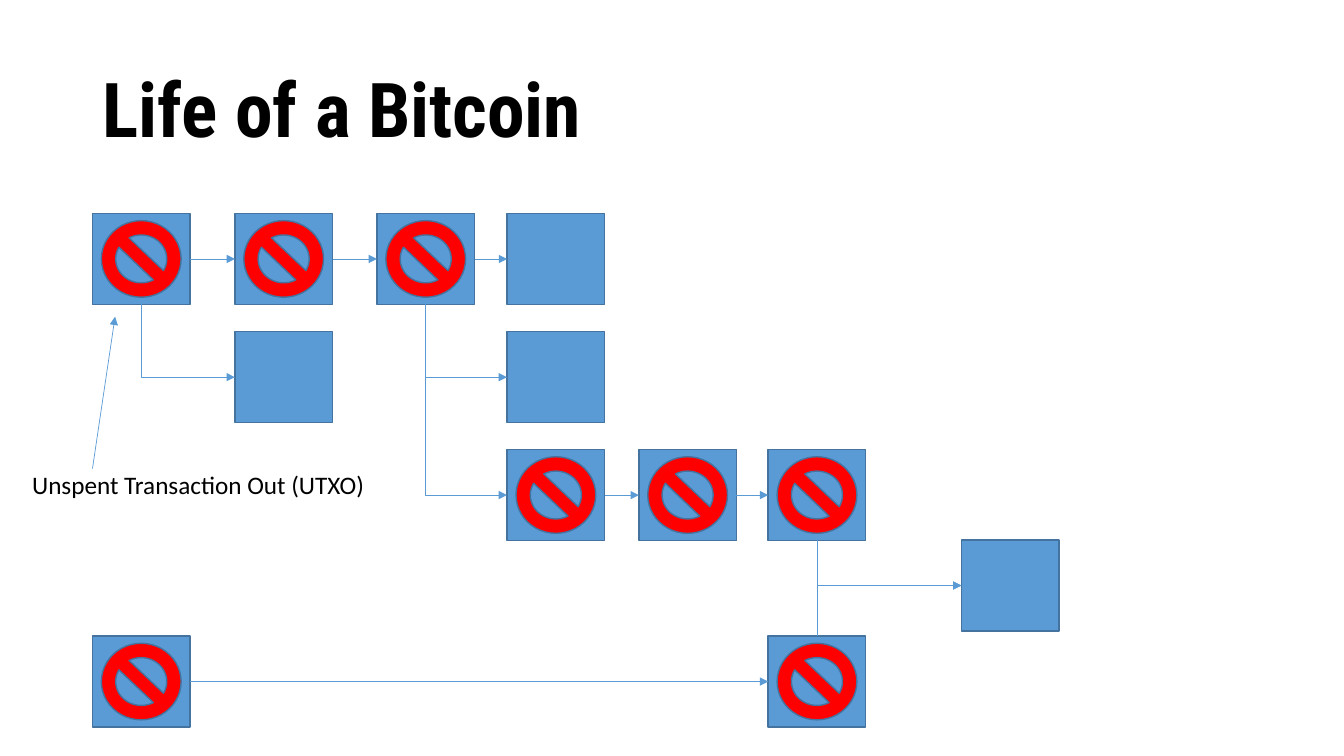
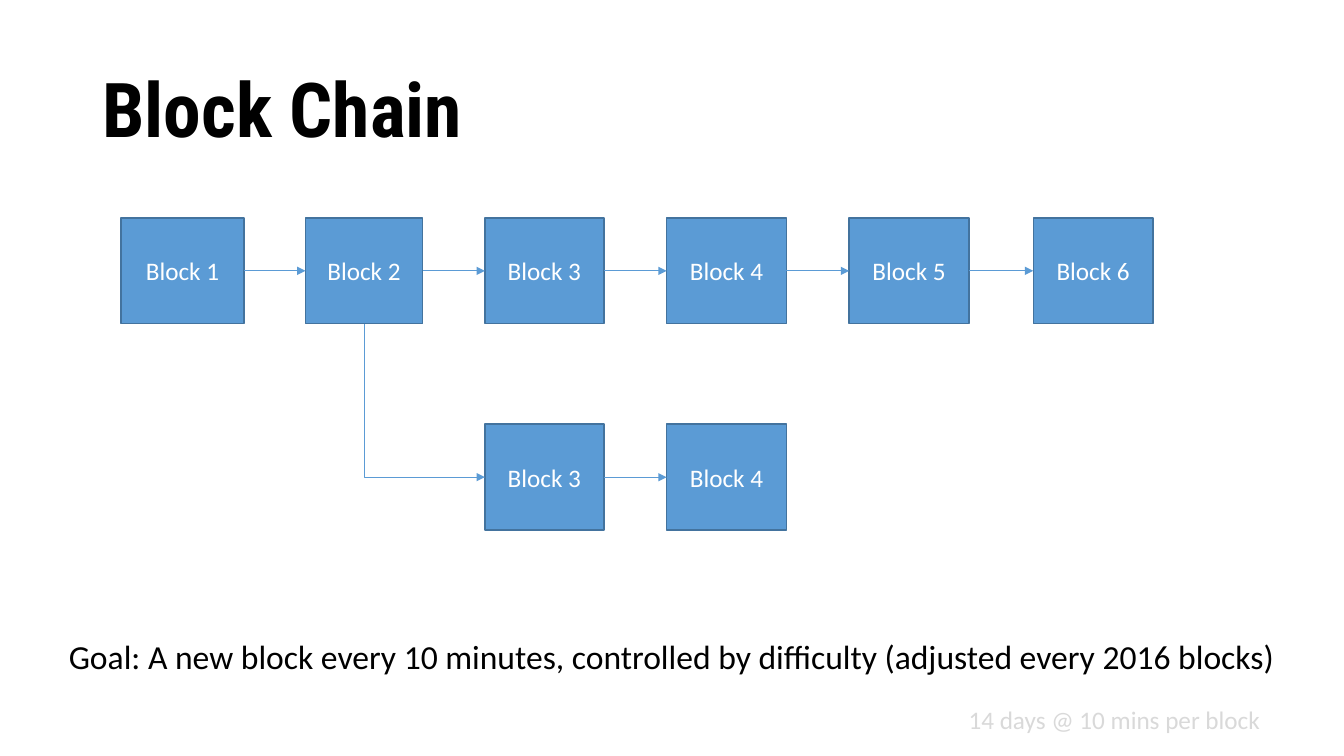
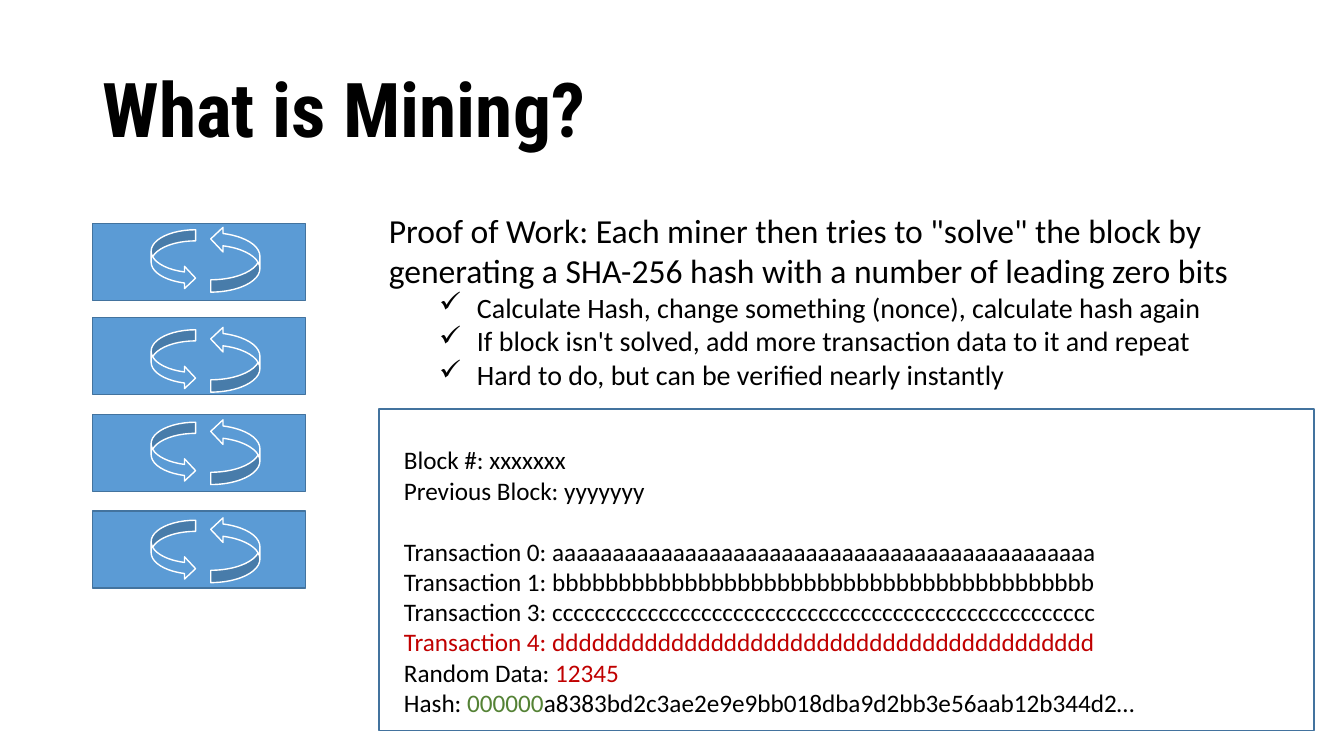
import pptx
import pptx.dml.color
import pptx.enum.shapes
import pptx.enum.text
import pptx.oxml
import pptx.oxml.ns
import pptx.util

Cm = pptx.util.Cm
Pt = pptx.util.Pt
RGB = pptx.dml.color.RGBColor
SHAPE = pptx.enum.shapes.MSO_SHAPE
LINK = pptx.enum.shapes.MSO_CONNECTOR
ALIGN = pptx.enum.text.PP_ALIGN
ANCHOR = pptx.enum.text.MSO_ANCHOR
FIT = pptx.enum.text.MSO_AUTO_SIZE
qn = pptx.oxml.ns.qn

BLUE = RGB(0x5B, 0x9B, 0xD5)
NAVY = RGB(0x43, 0x73, 0x9E)
RED = RGB(0xFF, 0x00, 0x00)
WINE = RGB(0xC0, 0x00, 0x00)
GREEN = RGB(0x54, 0x82, 0x35)
GREY = RGB(0xD9, 0xD9, 0xD9)
BLACK = RGB(0x00, 0x00, 0x00)
WHITE = RGB(0xFF, 0xFF, 0xFF)
BODY = "Calibri"
HEAD = "Roboto Condensed"
TOP, LEFT, BOTTOM, RIGHT = range(4)


def style(para, size, color=BLACK, name=BODY, bold=None):
    font = para.font
    font.size = Pt(size)
    font.name = name
    font.bold = bold
    if color is not None:
        font.color.rgb = color


def start(deck, text):
    slide = deck.slides.add_slide(deck.slide_layouts[5])
    title = slide.shapes.title
    title.left, title.top = Cm(2.33), Cm(1.01)
    title.width, title.height = Cm(29.21), Cm(3.68)
    frame = title.text_frame
    frame.text = text
    frame.auto_size = FIT.NONE
    frame.vertical_anchor = ANCHOR.MIDDLE
    para = frame.paragraphs[0]
    para.alignment = ALIGN.LEFT
    para.line_spacing = 0.9
    style(para, 54, name=HEAD, bold=True)
    return slide


def shape(slide, kind, x, y, w, h, fill=BLUE, line=NAVY):
    item = slide.shapes.add_shape(kind, Cm(x), Cm(y), Cm(w), Cm(h))
    item.shadow.inherit = False
    if fill is None:
        item.fill.background()
    else:
        item.fill.solid()
        item.fill.fore_color.rgb = fill
    item.line.color.rgb = line
    item.line.width = Pt(1)
    return item


def box(slide, x, y, w, h, text=""):
    item = shape(slide, SHAPE.RECTANGLE, x, y, w, h)
    if text:
        frame = item.text_frame
        frame.text = text
        frame.vertical_anchor = ANCHOR.MIDDLE
        para = frame.paragraphs[0]
        para.alignment = ALIGN.CENTER
        style(para, 18, WHITE)
    return item


def finish(wire, end):
    wire.line.color.rgb = BLUE
    wire.line.width = Pt(0.5)
    props = wire.element.find(qn("p:spPr"))
    tip = pptx.oxml.parse_xml(
        f'<a:{end} {pptx.oxml.ns.nsdecls("a")} type="triangle"/>')
    props.find(qn("a:ln")).append(tip)
    props.append(props.makeelement(qn("a:effectLst"), {}))


def arrow(slide, source, target):
    wire = slide.shapes.add_connector(LINK.STRAIGHT, 0, 0, 0, 0)
    wire.begin_connect(source, RIGHT)
    wire.end_connect(target, LEFT)
    finish(wire, "tailEnd")


def branch(slide, source, target, side=BOTTOM):
    wire = slide.shapes.add_connector(LINK.ELBOW, 0, 0, 0, 0)
    wire.begin_connect(target, LEFT)
    wire.end_connect(source, side)
    shell = wire.element.find(qn("p:spPr")).find(qn("a:prstGeom"))
    shell.set("prst", "bentConnector2")
    finish(wire, "headEnd")


def label(slide, x, y, w, h, wrap=False):
    item = slide.shapes.add_textbox(Cm(x), Cm(y), Cm(w), Cm(h))
    frame = item.text_frame
    frame.word_wrap = wrap
    frame.auto_size = FIT.SHAPE_TO_FIT_TEXT
    return frame


def write(frame, text, size, color=BLACK):
    para = frame.paragraphs[0]
    para.text = text
    style(para, size, color)
    return para


def check(para):
    props = para._p.get_or_add_pPr()
    props.set("marL", str(Cm(2.22)))
    props.set("indent", str(-Cm(0.95)))
    props.append(props.makeelement(qn("a:buChar"), {"char": "✓"}))


def life(deck):
    slide = start(deck, "Life of a Bitcoin")
    cols = (2.33, 5.92, 9.5, 12.78, 16.1, 19.36, 24.23)
    rows = (5.38, 8.36, 11.33, 13.61, 16.03)
    wide, high = 2.46, 2.29
    cells = ((0, 0), (1, 0), (2, 0), (3, 0), (1, 1), (3, 1),
             (3, 2), (4, 2), (5, 2), (6, 3), (0, 4), (5, 4))
    coins = {(c, r): box(slide, cols[c], rows[r], wide, high)
             for c, r in cells}
    for a, b in (((0, 0), (1, 0)), ((1, 0), (2, 0)), ((2, 0), (3, 0)),
                 ((3, 2), (4, 2)), ((4, 2), (5, 2)), ((0, 4), (5, 4))):
        arrow(slide, coins[a], coins[b])
    for a, b, side in (((0, 0), (1, 1), BOTTOM), ((2, 0), (3, 1), BOTTOM),
                       ((2, 0), (3, 2), BOTTOM), ((5, 2), (6, 3), BOTTOM),
                       ((5, 4), (6, 3), TOP)):
        branch(slide, coins[a], coins[b], side)
    sw, sh = 2.01, 1.93
    for c, r in ((0, 0), (1, 0), (2, 0), (3, 2), (4, 2), (5, 2),
                 (0, 4), (5, 4)):
        shape(slide, SHAPE.NO_SYMBOL, cols[c] + (wide - sw) / 2,
              rows[r] + (high - sh) / 2, sw, sh, RED)
    wire = slide.shapes.add_connector(
        LINK.STRAIGHT, Cm(2.33), Cm(11.81), Cm(2.9), Cm(7.98))
    finish(wire, "tailEnd")
    write(label(slide, 0.56, 11.71, 8.97, 1.03),
          "Unspent Transaction Out (UTXO)", 18)


def chain(deck):
    slide = start(deck, "Block Chain")
    cols = ((3.05, 3.1), (7.7, 2.95), (12.22, 3),
            (16.8, 3.02), (21.4, 3.02), (26.04, 3.02))

    def row(first, last, y):
        blocks = [box(slide, *cols[n - 1][:1], y, cols[n - 1][1], 2.67,
                      f"Block {n}") for n in range(first, last + 1)]
        for a, b in zip(blocks, blocks[1:]):
            arrow(slide, a, b)
        return blocks

    main_row = row(1, 6, 5.49)
    fork = row(3, 4, 10.69)
    branch(slide, main_row[1], fork[0])
    goal = write(label(slide, 1.42, 15.9, 31.01, 1.28, True),
                 "Goal: A new block every 10 minutes, controlled by "
                 "difficulty (adjusted every 2016 blocks)", 24)
    goal.alignment = ALIGN.CENTER
    write(label(slide, 24.16, 17.63, 7.95, 1.03),
          "14 days @ 10 mins per block", 18, GREY)


def mining(deck):
    slide = start(deck, "What is Mining?")
    for y, spin in ((5.64, 5.79), (8, 8.31), (10.44, 10.64), (12.88, 13.11)):
        box(slide, 2.33, y, 5.37, 1.94)
        shape(slide, SHAPE.CURVED_RIGHT_ARROW, 3.81, spin, 1.12, 1.5,
              line=WHITE)
        back = shape(slide, SHAPE.CURVED_RIGHT_ARROW, 5.31, spin - 0.08,
                     1.24, 1.65, line=WHITE)
        back.rotation = 180

    proof = label(slide, 9.55, 5.16, 22.66, 4.88, True)
    write(proof, 'Proof of Work: Each miner then tries to "solve" the block '
          'by generating a SHA-256 hash with a number of leading zero bits',
          24)
    for text in (
            "Calculate Hash, change something (nonce), calculate hash again",
            "If block isn't solved, add more transaction data to it and repeat",
            "Hard to do, but can be verified nearly instantly"):
        para = proof.add_paragraph()
        para.text = text
        check(para)
        style(para, 20)

    shape(slide, SHAPE.RECTANGLE, 9.55, 10.31, 23.57, 8.1, None)
    lines = (
        (("Block #: xxxxxxx", BLACK),),
        (("Previous Block: yyyyyyy", BLACK),),
        (("Transaction 0: aaaaaaaaaaaaaaaaaaaaaaaaaaaaaaaaaaaaaaaaaaaaa",
          BLACK),),
        (("Transaction 1: bbbbbbbbbbbbbbbbbbbbbbbbbbbbbbbbbbbbbbbbb",
          BLACK),),
        (("Transaction 3: "
          "ccccccccccccccccccccccccccccccccccccccccccccccccccc", BLACK),),
        (("Transaction 4: ddddddddddddddddddddddddddddddddddddddddd",
          WINE),),
        (("Random Data: ", BLACK), ("12345", WINE)),
        (("Hash: ", BLACK), ("000000", GREEN),
         ("a8383bd2c3ae2e9e9bb018dba9d2bb3e56aab12b344d2…", BLACK)),
    )
    data = label(slide, 9.93, 11.08, 19.02, 7.18)
    for n, parts in enumerate(lines):
        para = data.add_paragraph() if n else data.paragraphs[0]
        if n == 2:
            para.space_before = Pt(22)
        style(para, 18, parts[0][1] if len(parts) == 1 else None)
        for text, color in parts:
            run = para.add_run()
            run.text = text
            if len(parts) > 1:
                run.font.color.rgb = color


def main():
    deck = pptx.Presentation()
    deck.slide_width, deck.slide_height = Cm(33.87), Cm(19.05)
    life(deck)
    chain(deck)
    mining(deck)
    deck.save("out.pptx")


if __name__ == "__main__":
    main()
